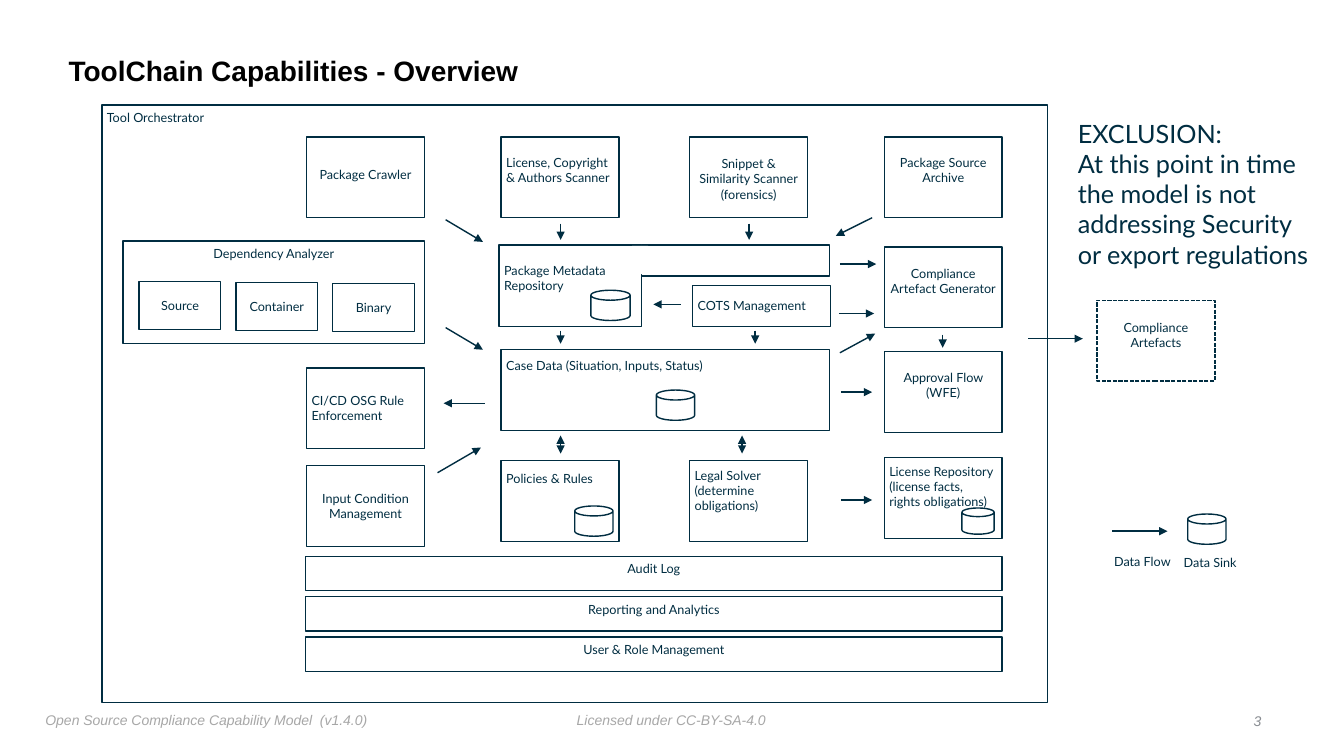
from lxml.etree import SubElement
from pptx import Presentation
from pptx.dml.color import RGBColor
from pptx.enum.dml import MSO_LINE_DASH_STYLE as Dash
from pptx.enum.shapes import MSO_CONNECTOR as Connector, MSO_SHAPE as Shape
from pptx.enum.text import MSO_ANCHOR as Anchor, PP_ALIGN as Align
from pptx.oxml.ns import qn
from pptx.util import Inches, Pt

NAVY, WHITE, GREY = "002D41", "FFFFFF", "A7A7A7"
LEFT, CENTER, RIGHT = Align.LEFT, Align.CENTER, Align.RIGHT
TOP, MIDDLE = Anchor.TOP, Anchor.MIDDLE

deck = Presentation()
deck.slide_width, deck.slide_height = Inches(13.33), Inches(7.5)
page = deck.slides.add_slide(deck.slide_layouts[6])


def write(holder, text, area, size=9, font="Lato", color=NAVY, bold=False,
          italic=False, align=LEFT, anchor=TOP, wrap=True, spacing=None):
    box = holder.add_textbox(*map(Inches, area))
    frame = box.text_frame
    frame.word_wrap = wrap
    frame.vertical_anchor = anchor
    frame.margin_left = frame.margin_right = Inches(0.05)
    frame.margin_top = frame.margin_bottom = Inches(0.05)
    for index, line in enumerate(text.split("\n")):
        para = frame.add_paragraph() if index else frame.paragraphs[0]
        para.alignment = align
        para.line_spacing = spacing
        span = para.add_run()
        span.text = line
        span.font.name, span.font.size = font, Pt(size)
        span.font.bold, span.font.italic = bold, italic
        span.font.color.rgb = RGBColor.from_string(color)


def draw(holder, kind, area, fill=WHITE, line=NAVY):
    shape = holder.add_shape(kind, *map(Inches, area))
    shape.shadow.inherit = False
    shape.fill.solid()
    shape.fill.fore_color.rgb = RGBColor.from_string(fill)
    if line:
        shape.line.color.rgb = RGBColor.from_string(line)
        shape.line.width = Pt(1)
    else:
        shape.line.fill.background()
    return shape


footer = dict(size=10, font="Arial", color=GREY, italic=True, wrap=False)
write(page.shapes, "Licensed under CC-BY-SA-4.0", (5.67, 7.01, 1.99, 0.25), **footer)
write(page.shapes, "Open Source Compliance Capability Model  (v1.4.0)",
      (0.4, 7.01, 3.32, 0.27), **footer)
write(page.shapes, "3", (12.37, 7.03, 0.19, 0.25),
      **{**footer, "color": "888C91", "align": RIGHT, "anchor": MIDDLE})
write(page.shapes, "ToolChain Capabilities - Overview", (0.63, 0.39, 10.75, 0.65),
      size=20, font="Arial", color="000000", bold=True, anchor=MIDDLE, spacing=0.9)

INTAKE, SCAN, LEGAL, OUTPUT, OUTSIDE = 3.04, 4.97, 6.84, 8.77, 10.88
CARD_W, CARD_H = 1.17, 0.8
BAR_W, BAR_H, BAR_STEP = 6.91, 0.34, 0.4
SCAN_ROW, POLICY_ROW, BAR_ROW = 1.36, 4.57, 5.52

frames = [
    ("Tool Orchestrator", 1.01, 1.04, 9.38, 5.93, 0, LEFT),
    ("Dependency Analyzer", 1.22, 2.39, 2.99, 1.02, 0, CENTER),
    ("Case Data (Situation, Inputs, Status)", SCAN, 3.47, 3.26, CARD_H, 0.03, LEFT),
    ("Package Metadata Repository", 4.95, 2.43, 1.41, 0.81, 0.13, LEFT),
    ("COTS Management", 6.87, 2.83, 1.37, 0.41, 0.08, LEFT),
]
cards = [
    ("Package Crawler", INTAKE, SCAN_ROW, 0.25, CENTER),
    ("License, Copyright & Authors Scanner", SCAN, SCAN_ROW, 0.13, LEFT),
    ("Snippet & Similarity Scanner\n(forensics)", LEGAL, SCAN_ROW, 0.14, CENTER),
    ("Package Source Archive", OUTPUT, SCAN_ROW, 0.13, CENTER),
    ("Compliance Artefact Generator", OUTPUT, 2.45, 0.14, CENTER),
    ("Approval Flow (WFE)", OUTPUT, 3.49, 0.13, CENTER),
    ("CI/CD OSG Rule Enforcement", INTAKE, 3.65, 0.2, LEFT),
    ("Input Condition Management", INTAKE, 4.62, 0.2, CENTER),
    ("Policies & Rules", SCAN, POLICY_ROW, 0.05, LEFT),
    ("Legal Solver (determine obligations)", LEGAL, POLICY_ROW, 0.02, LEFT),
    ("License Repository (license facts, rights obligations)",
     OUTPUT, 4.54, 0.01, LEFT),
    ("Compliance Artefacts", OUTSIDE, 2.98, 0.14, CENTER),
]
bars = ["Audit Log", "Reporting and Analytics", "User & Role Management"]
analyzers = ["Source", "Container", "Binary"]

blocks = frames + [(name, left, top, CARD_W, CARD_H, drop, align)
                   for name, left, top, drop, align in cards]
blocks += [(name, 3.03, BAR_ROW + row * BAR_STEP, BAR_W, BAR_H, 0, CENTER)
           for row, name in enumerate(bars)]
blocks += [(name, 1.38 + column * 0.96, 2.79 + column * 0.01, 0.81, 0.48, 0.12, CENTER)
           for column, name in enumerate(analyzers)]

for name, left, top, width, height, drop, align in blocks:
    group = page.shapes.add_group_shape().shapes
    outline = draw(group, Shape.RECTANGLE, (left, top, width, height))
    if left == OUTSIDE:
        outline.line.dash_style = Dash.SQUARE_DOT
    write(group, name, (left, top + drop, width, max(0.25, height - 2 * drop)),
          align=align)

draw(page.shapes, Shape.RECTANGLE, (6.36, 2.43, 1.87, 0.31))
draw(page.shapes, Shape.RECTANGLE, (6.27, 2.44, 0.16, 0.28), line=None)

sinks = [(5.86, 2.88, 0.39, 0.3), (6.51, 3.87, 0.38, 0.3), (5.7, 5.02, 0.38, 0.3),
         (9.54, 5.04, 0.32, 0.26), (11.78, 5.1, 0.38, 0.3)]
for area in sinks:
    draw(page.shapes, Shape.CAN, area).adjustments[0] = 0.33

flows = [
    (4.42, 2.18, 4.79, 2.4), (4.42, 3.25, 4.79, 3.47), (4.81, 4, 4.4, 4),
    (4.34, 4.69, 4.77, 4.44), (5.56, 2.22, 5.56, 2.38), (7.43, 2.22, 7.43, 2.38),
    (8.65, 2.16, 8.29, 2.34), (5.56, 3.28, 5.56, 3.41), (7.49, 3.28, 7.49, 3.41),
    (9.35, 3.32, 9.35, 3.45), (6.75, 3.02, 6.48, 3.02), (8.33, 2.62, 8.69, 2.62),
    (8.32, 3.11, 8.67, 3.11), (8.33, 3.5, 8.68, 3.31), (8.34, 3.89, 8.65, 3.89),
    (8.34, 4.96, 8.65, 4.96), (10.2, 3.36, 10.74, 3.36), (11.03, 5.27, 11.58, 5.27),
]
exchanges = [(5.56, 4.5, 5.56, 4.32), (7.36, 4.5, 7.36, 4.32)]
for ends in flows + exchanges:
    arrow = page.shapes.add_connector(Connector.STRAIGHT, *map(Inches, ends))
    arrow.line.color.rgb = RGBColor.from_string(NAVY)
    arrow.line.width = Pt(1)
    stroke = arrow.line._get_or_add_ln()
    for tip in ["a:headEnd", "a:tailEnd"] if ends in exchanges else ["a:tailEnd"]:
        SubElement(stroke, qn(tip), type="triangle")
    SubElement(arrow._element.spPr, qn("a:effectLst"))

write(page.shapes, "Data Flow", (11, 5.45, 0.67, 0.25), wrap=False)
write(page.shapes, "Data Sink", (11.69, 5.46, 0.63, 0.25), wrap=False)
write(page.shapes, "EXCLUSION:\nAt this point in time\nthe model is not\n"
      "addressing Security\nor export regulations",
      (10.64, 1.12, 2.46, 1.62), size=18, wrap=False)

deck.save("out.pptx")
